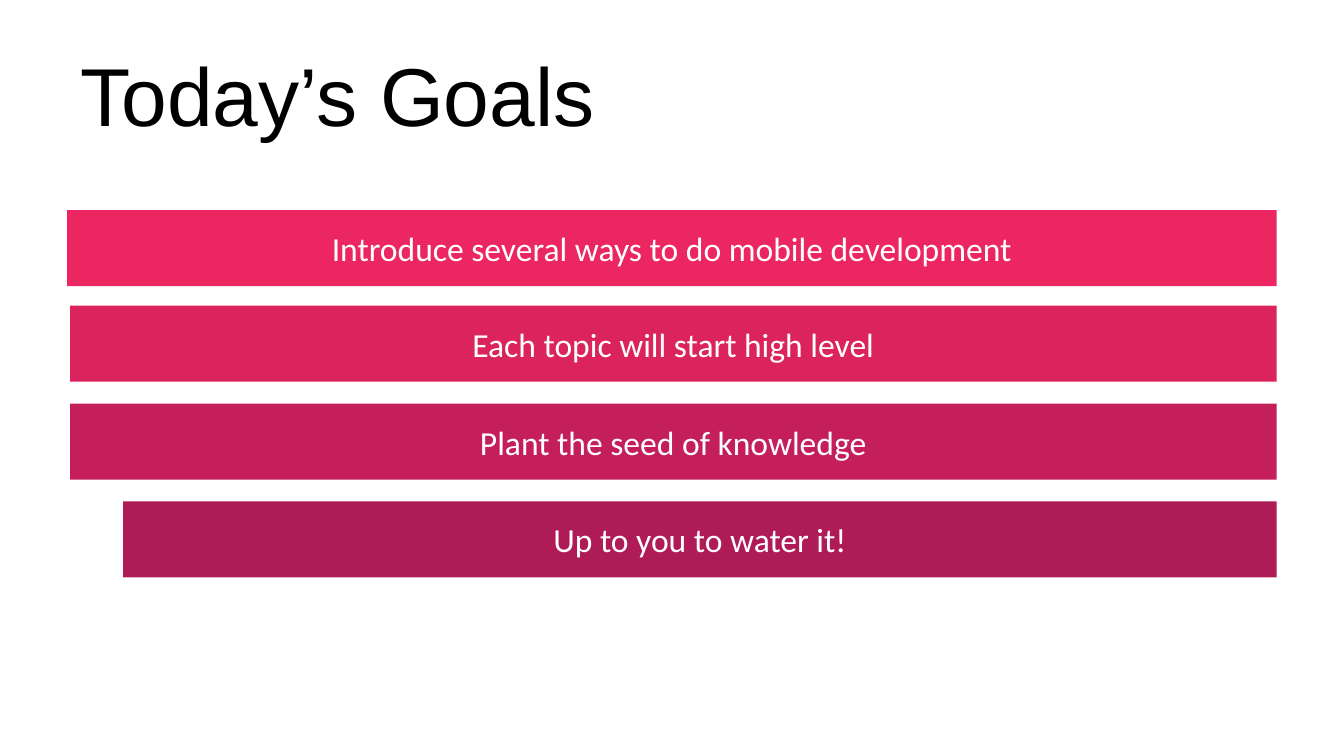
"""Build the "Today's Goals" slide with four stacked goal bars."""
from dataclasses import dataclass

import pptx
import pptx.dml.color
import pptx.enum.shapes
import pptx.enum.text
import pptx.shapes.autoshape
import pptx.slide
import pptx.util

Pt = pptx.util.Pt
COLOURS: dict[str, str] = {
    "title": "000000",
    "label": "FFFFFF",
    "introduce": "EC2661",
    "topic": "DB235E",
    "seed": "C41F5A",
    "water": "AF1B57",
}
RIGHT_EDGE = 684
BAR_HEIGHT = 40.8


@dataclass(frozen=True)
class Goal:
    text: str
    left: float
    top: float
    colour: str


GOALS = [
    Goal("Introduce several ways to do mobile development", 36, 112.5, "introduce"),
    Goal("Each topic will start high level", 37.5, 163.7, "topic"),
    Goal("Plant the seed of knowledge", 37.5, 216.2, "seed"),
    Goal("Up to you to water it!", 66, 268.6, "water"),
]


def rgb(name: str) -> pptx.dml.color.RGBColor:
    return pptx.dml.color.RGBColor.from_string(COLOURS[name])


def write_text(
    box: pptx.shapes.autoshape.Shape,
    text: str,
    size: float,
    font: str,
    colour: str,
    align: pptx.enum.text.PP_ALIGN,
) -> None:
    frame = box.text_frame
    frame.word_wrap = True
    frame.vertical_anchor = pptx.enum.text.MSO_ANCHOR.MIDDLE
    para = frame.paragraphs[0]
    para.alignment = align
    span = para.add_run()
    span.text = text
    span.font.size = Pt(size)
    span.font.name = font
    span.font.color.rgb = rgb(colour)


def draw_title(page: pptx.slide.Slide, text: str) -> None:
    box = page.shapes.add_textbox(Pt(36), Pt(16.5), Pt(648), Pt(67.5))
    write_text(box, text, 44, "Arial", "title", pptx.enum.text.PP_ALIGN.LEFT)


def draw_goal(page: pptx.slide.Slide, goal: Goal) -> None:
    bar = page.shapes.add_shape(
        pptx.enum.shapes.MSO_SHAPE.RECTANGLE,
        Pt(goal.left),
        Pt(goal.top),
        Pt(RIGHT_EDGE - goal.left),
        Pt(BAR_HEIGHT),
    )
    bar.shadow.inherit = False
    bar.fill.solid()
    bar.fill.fore_color.rgb = rgb(goal.colour)
    bar.line.fill.background()
    write_text(bar, goal.text, 18, "Calibri", "label", pptx.enum.text.PP_ALIGN.CENTER)


def main() -> None:
    deck = pptx.Presentation()
    deck.slide_width = Pt(720)
    deck.slide_height = Pt(405)
    page = deck.slides.add_slide(deck.slide_layouts[6])
    draw_title(page, "Today’s Goals")
    for goal in GOALS:
        draw_goal(page, goal)
    deck.save("out.pptx")


if __name__ == "__main__":
    main()
